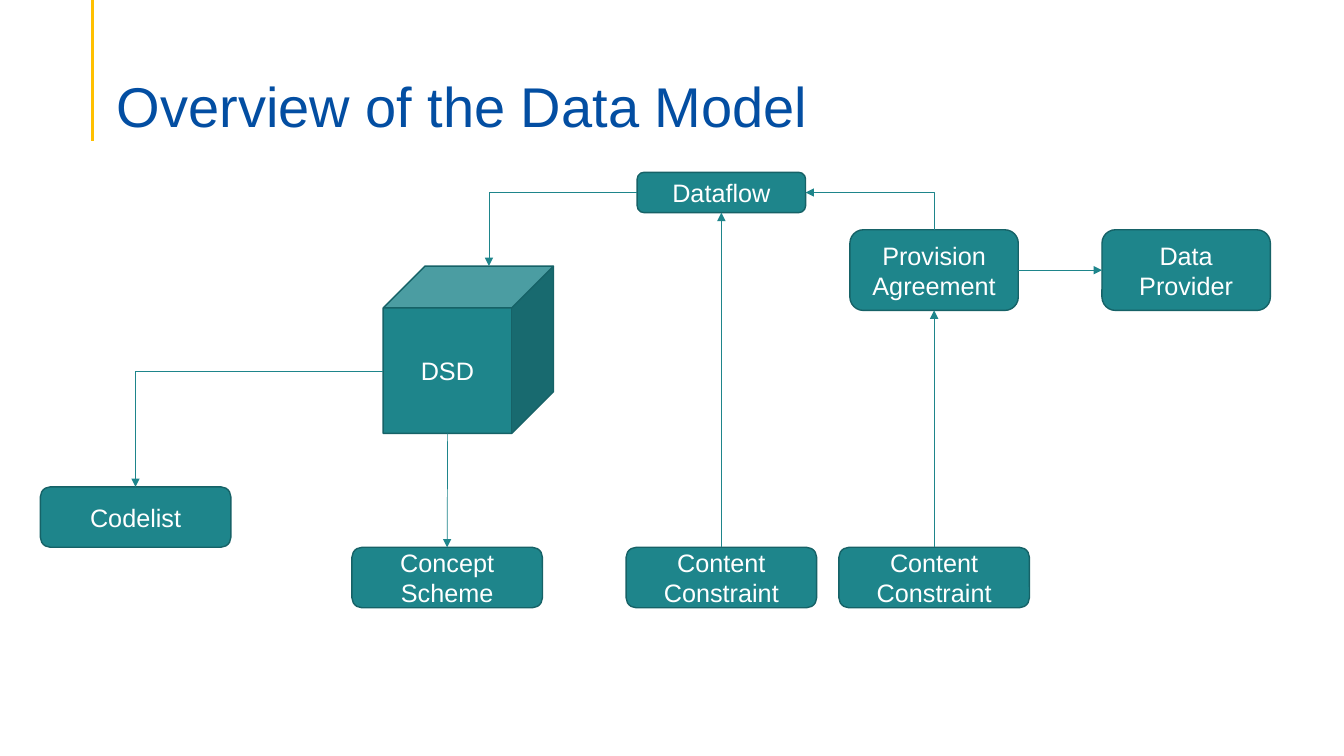
import pptx
import pptx.util
import pptx.dml.color
import pptx.enum.shapes
import pptx.enum.text
import pptx.oxml.ns
import lxml.etree
from dataclasses import dataclass

Inches = pptx.util.Inches
Pt = pptx.util.Pt
RGB = pptx.dml.color.RGBColor.from_string
MSO_SHAPE = pptx.enum.shapes.MSO_SHAPE
MSO_CONNECTOR = pptx.enum.shapes.MSO_CONNECTOR
PP_ALIGN = pptx.enum.text.PP_ALIGN
MSO_ANCHOR = pptx.enum.text.MSO_ANCHOR
qn = pptx.oxml.ns.qn


@dataclass(frozen=True)
class Theme:
    font: str = "Arial"
    title_size: int = 40
    body_size: int = 18
    title: str = "034EA2"
    accent: str = "FFC000"
    teal: str = "1E858B"
    outline: str = "166267"
    white: str = "FFFFFF"


theme = Theme()


def write(sp, text, size, color, align, anchor, spacing=1.0):
    tf = sp.text_frame
    tf.word_wrap = True
    tf.vertical_anchor = anchor
    p = tf.paragraphs[0]
    p.alignment = align
    p.line_spacing = spacing
    r = p.add_run()
    r.text = text
    r.font.name = theme.font
    r.font.size = Pt(size)
    r.font.color.rgb = RGB(color)


def style_line(c, color, width, arrow=None):
    c.line.color.rgb = RGB(color)
    c.line.width = Pt(width)
    if arrow:
        ln = c.line._get_or_add_ln()
        lxml.etree.SubElement(ln, qn("a:" + arrow), type="triangle")
    lxml.etree.SubElement(c._element.spPr, qn("a:effectLst"))


prs = pptx.Presentation()
prs.slide_width, prs.slide_height = Inches(13.33), Inches(7.5)
s = prs.slides.add_slide(prs.slide_layouts[6])

# Title with its accent rule
rule = s.shapes.add_connector(MSO_CONNECTOR.STRAIGHT, Inches(0.92), 0, Inches(0.92), Inches(1.4))
style_line(rule, theme.accent, 2.25)
title = s.shapes.add_textbox(Inches(1.06), Inches(0.53), Inches(11.5), Inches(0.86))
title.text_frame.margin_bottom = 0
write(title, "Overview of the Data Model", size=theme.title_size, color=theme.title,
      align=PP_ALIGN.LEFT, anchor=MSO_ANCHOR.BOTTOM, spacing=0.9)

# Model elements: key, text, shape, left, top, width, height
box, cube = MSO_SHAPE.ROUNDED_RECTANGLE, MSO_SHAPE.CUBE
elements = [
    ("dsd", "DSD", cube, 3.8, 2.64, 1.69, 1.66),
    ("dataflow", "Dataflow", box, 6.32, 1.71, 1.67, 0.4),
    ("agreement", "Provision Agreement", box, 8.43, 2.28, 1.67, 0.8),
    ("provider", "Data Provider", box, 10.93, 2.28, 1.67, 0.8),
    ("codelist", "Codelist", box, 0.4, 4.83, 1.89, 0.6),
    ("concepts", "Concept Scheme", box, 3.49, 5.43, 1.89, 0.6),
    ("flow constraint", "Content Constraint", box, 6.21, 5.43, 1.89, 0.6),
    ("agreement constraint", "Content Constraint", box, 8.32, 5.43, 1.89, 0.6),
]
nodes = {}
for key, text, kind, *frame in elements:
    sp = s.shapes.add_shape(kind, *map(Inches, frame))
    sp.shadow.inherit = False
    sp.fill.solid()
    sp.fill.fore_color.rgb = RGB(theme.teal)
    sp.line.color.rgb = RGB(theme.outline)
    sp.line.width = Pt(1)
    write(sp, text, size=theme.body_size, color=theme.white,
          align=PP_ALIGN.CENTER, anchor=MSO_ANCHOR.MIDDLE)
    nodes[key] = sp

# Links: begin, side, end, side, arrow end; elbows leave sideways and turn once
TOP, LEFT, BOTTOM, RIGHT = range(4)
cube_points = {TOP: (4.85, 2.64), LEFT: (3.8, 3.68), BOTTOM: (4.44, 4.3)}
links = [
    ("dsd", LEFT, "codelist", TOP, "tailEnd"),
    ("dataflow", LEFT, "dsd", TOP, "tailEnd"),
    ("dataflow", RIGHT, "agreement", TOP, "headEnd"),
    ("dsd", BOTTOM, "concepts", TOP, "tailEnd"),
    ("flow constraint", TOP, "dataflow", BOTTOM, "tailEnd"),
    ("agreement constraint", TOP, "agreement", BOTTOM, "tailEnd"),
    ("agreement", RIGHT, "provider", LEFT, "tailEnd"),
]
for begin, begin_side, end, end_side, arrow in links:
    elbow = begin_side in (LEFT, RIGHT) and end_side == TOP
    c = s.shapes.add_connector(MSO_CONNECTOR.ELBOW if elbow else MSO_CONNECTOR.STRAIGHT, 0, 0, 0, 0)
    if begin == "dsd":
        c.begin_x, c.begin_y = map(Inches, cube_points[begin_side])
    else:
        c.begin_connect(nodes[begin], begin_side)
    if end == "dsd":
        c.end_x, c.end_y = map(Inches, cube_points[end_side])
    else:
        c.end_connect(nodes[end], end_side)
    if elbow:
        c._element.spPr.find(qn("a:prstGeom")).set("prst", "bentConnector2")
    style_line(c, theme.teal, 0.5, arrow)

prs.save("out.pptx")
